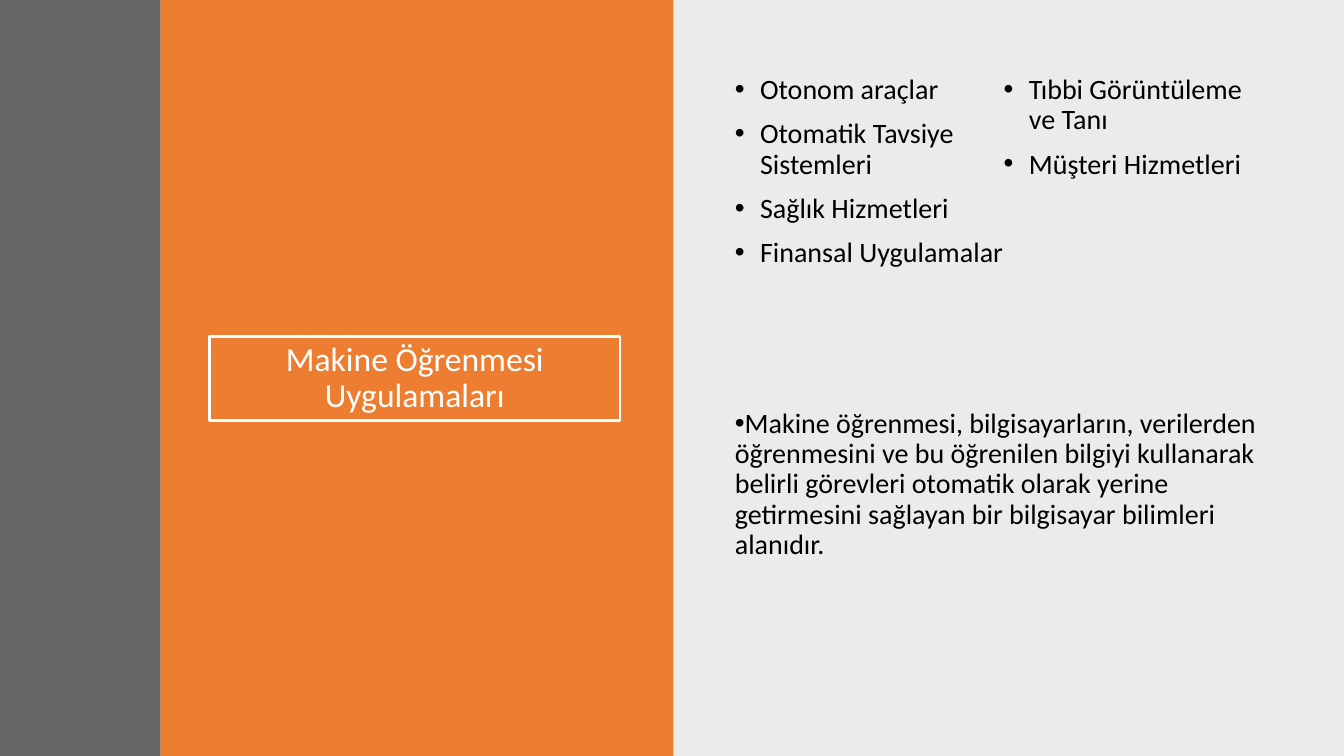
import pptx
import pptx.dml.color
import pptx.enum.shapes
import pptx.enum.text
import pptx.oxml
import pptx.oxml.ns
import pptx.util

Inches = pptx.util.Inches
Pt = pptx.util.Pt
WIDTH, HEIGHT = Inches(13.33), Inches(7.5)
TEXT_LEFT, TEXT_WIDTH = 0.5394, 0.4149
APPLICATIONS = [
    "Otonom araçlar",
    "Otomatik Tavsiye Sistemleri",
    "Sağlık Hizmetleri",
    "Finansal Uygulamalar",
    "Tıbbi Görüntüleme ve Tanı",
    "Müşteri Hizmetleri",
]
DEFINITION = (
    "Makine öğrenmesi, bilgisayarların, verilerden öğrenmesini ve bu "
    "öğrenilen bilgiyi kullanarak belirli görevleri otomatik olarak yerine "
    "getirmesini sağlayan bir bilgisayar bilimleri alanıdır."
)


def box(left, top, width, height):
    return (round(left * WIDTH), round(top * HEIGHT),
            round(width * WIDTH), round(height * HEIGHT))


def paint(color_format, color):
    color_format.rgb = pptx.dml.color.RGBColor.from_string(color)


def add_panel(slide, left, width, color, opacity=100):
    panel = slide.shapes.add_shape(
        pptx.enum.shapes.MSO_SHAPE.RECTANGLE, *box(left, 0, width, 1))
    panel.shadow.inherit = False
    panel.line.fill.background()
    panel.fill.solid()
    paint(panel.fill.fore_color, color)
    if opacity < 100:
        tint = panel.fill._xPr.find(".//" + pptx.oxml.ns.qn("a:srgbClr"))
        alpha = pptx.oxml.parse_xml(
            f'<a:alpha {pptx.oxml.ns.nsdecls("a")} val="{opacity * 1000}"/>')
        tint.append(alpha)


def write(paragraph, text, size=20, color="000000", align=None,
          before=0, after=0, bullet=False, margin=0):
    paragraph.alignment = align
    paragraph.line_spacing = 0.9
    paragraph.space_before = Pt(before)
    paragraph.space_after = Pt(after)
    run = paragraph.add_run()
    run.text = text
    run.font.name = "Calibri"
    run.font.size = Pt(size)
    paint(run.font.color, color)
    if bullet:
        layout = paragraph._p.get_or_add_pPr()
        layout.set("marL", str(Inches(margin)))
        layout.set("indent", str(Inches(-0.25)))
        for mark in ('a:buFont {} typeface="Arial"', 'a:buChar {} char="•"'):
            layout.append(pptx.oxml.parse_xml(
                "<" + mark.format(pptx.oxml.ns.nsdecls("a")) + "/>"))


def add_bullets(slide, top, height, items, columns=1, bottom=0.05, **style):
    frame = slide.shapes.add_textbox(
        *box(TEXT_LEFT, top, TEXT_WIDTH, height)).text_frame
    frame.word_wrap = True
    frame.margin_bottom = Inches(bottom)
    if columns > 1:
        frame._txBody.bodyPr.set("numCol", str(columns))
    for index, item in enumerate(items):
        paragraph = frame.add_paragraph() if index else frame.paragraphs[0]
        write(paragraph, item, bullet=True, **style)


def place_title(slide, text):
    title = slide.shapes.title
    title.left, title.top, title.width, title.height = box(
        0.156, 0.4453, 0.3053, 0.1107)
    paint(title.line.color, "FFFFFF")
    title.line.width = Pt(2)
    frame = title.text_frame
    frame.auto_size = pptx.enum.text.MSO_AUTO_SIZE.NONE
    frame.word_wrap = True
    frame.vertical_anchor = pptx.enum.text.MSO_ANCHOR.MIDDLE
    write(frame.paragraphs[0], text, size=24, color="FFFFFF",
          align=pptx.enum.text.PP_ALIGN.CENTER)
    title.element.getparent().append(title.element)


def main():
    deck = pptx.Presentation()
    deck.slide_width, deck.slide_height = WIDTH, HEIGHT
    slide = deck.slides.add_slide(deck.slide_layouts[5])
    add_panel(slide, 0.5, 0.5, "000000", opacity=8)
    add_panel(slide, 0.1193, 0.3818, "ED7D31")
    place_title(slide, "Makine Öğrenmesi Uygulamaları")
    add_panel(slide, 0, 0.1193, "404040", opacity=80)
    add_bullets(slide, 0.0933, 0.3307, APPLICATIONS, columns=2, bottom=0.35,
                before=10, margin=0.25)
    add_bullets(slide, 0.5347, 0.372, [DEFINITION], after=6)
    deck.save("out.pptx")


if __name__ == "__main__":
    main()
